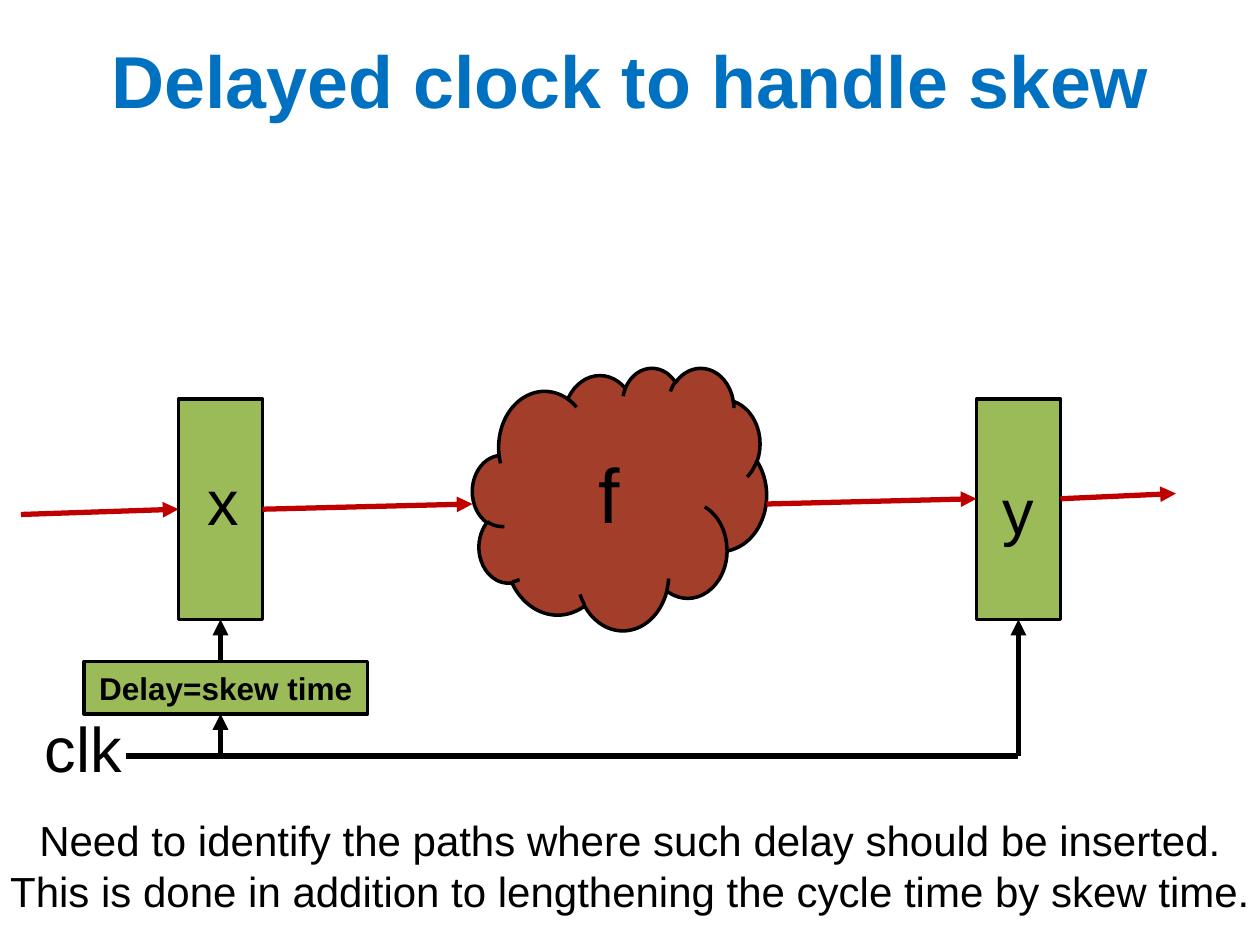
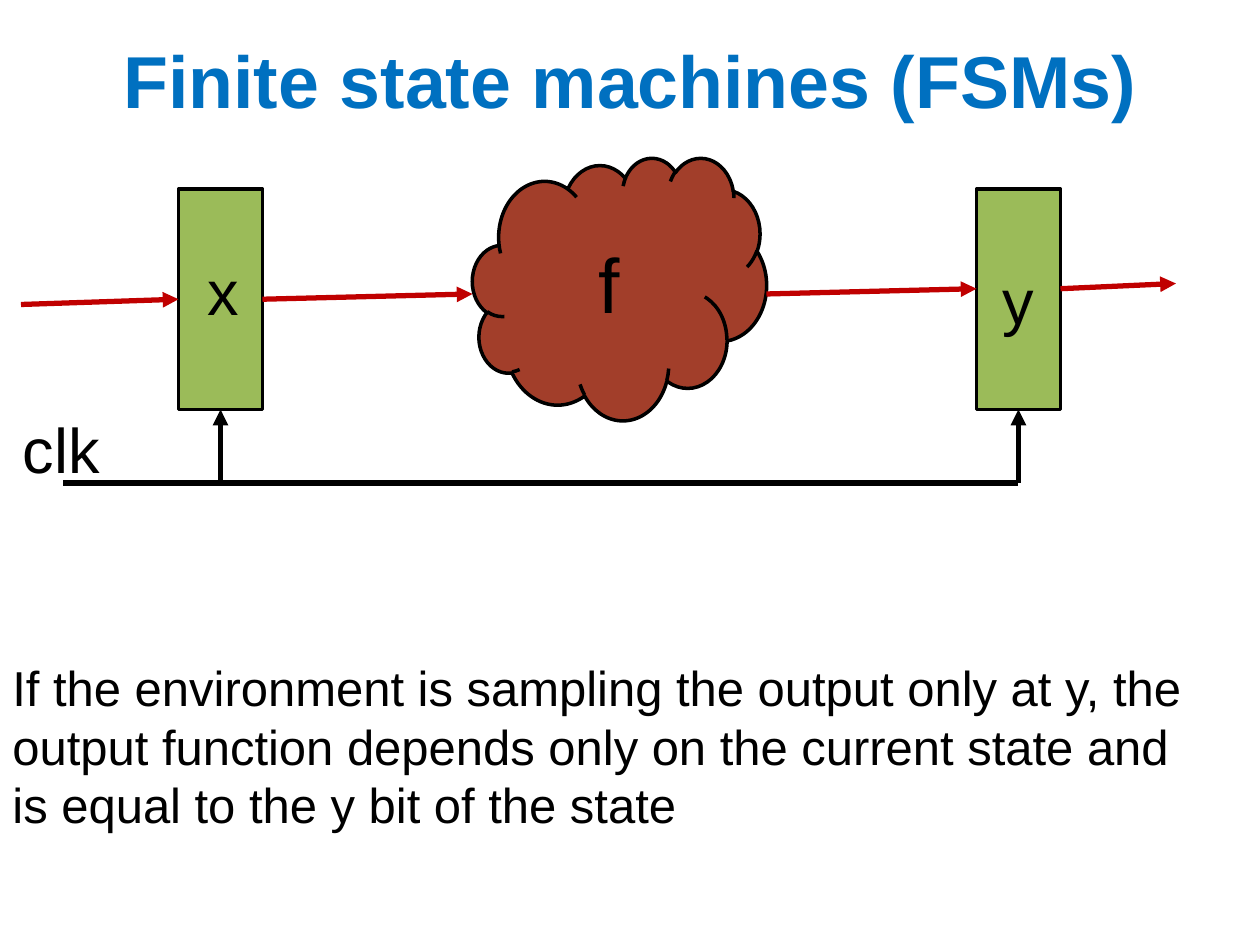
"""Build two slides on clocked registers around a logic block."""
import pptx
import pptx.util
import pptx.dml.color
import pptx.enum.shapes
import pptx.enum.text
import pptx.oxml
import pptx.oxml.ns

HUES = {"title": "0070C0", "cloud": "A23E2A", "box": "9BBB59",
        "data": "C00000", "ink": "000000"}
FONT = "Arial"
KIND = pptx.enum.shapes.MSO_SHAPE
ALIGN = pptx.enum.text.PP_ALIGN
MID = pptx.enum.text.MSO_ANCHOR.MIDDLE
FIT = pptx.enum.text.MSO_AUTO_SIZE

deck = pptx.Presentation()
deck.slide_width = pptx.util.Inches(10)
deck.slide_height = pptx.util.Inches(7.5)
COLS = 120
UNIT = deck.slide_width / COLS


def write(item, rows, size, hue="ink", bold=False, align=ALIGN.CENTER):
    frame = item.text_frame
    for num, row in enumerate(rows):
        para = frame.add_paragraph() if num else frame.paragraphs[0]
        para.alignment = align
        run = para.add_run()
        run.text = row
        run.font.name = FONT
        run.font.size = pptx.util.Pt(size)
        run.font.bold = bold
        run.font.color.rgb = pptx.dml.color.RGBColor.from_string(HUES[hue])


def wire(slide, start, end, hue="ink", arrow=True):
    ends = [round(n * UNIT) for n in (*start, *end)]
    link = slide.shapes.add_connector(pptx.enum.shapes.MSO_CONNECTOR.STRAIGHT, *ends)
    link.line.width = pptx.util.Pt(3)
    link.line.color.rgb = pptx.dml.color.RGBColor.from_string(HUES[hue])
    if arrow:
        tip = pptx.oxml.parse_xml(f'<a:tailEnd {pptx.oxml.ns.nsdecls("a")} type="triangle"/>')
        link.line._get_or_add_ln().append(tip)
    link._element.spPr.append(pptx.oxml.parse_xml(f'<a:effectLst {pptx.oxml.ns.nsdecls("a")}/>'))


pages = [
    {"title": "Delayed clock to handle skew", "top": 35, "clock": 72,
     "wire": 12, "label": (3.1, 67), "delay": (8, 63, 27, 5),
     "note": (-1, 77, 122, 10.9), "size": 24, "align": ALIGN.CENTER,
     "rows": ["Need to identify the paths where such delay should be inserted.",
              "This is done in addition to lengthening the cycle time by skew time."]},
    {"title": "Finite state machines (FSMs)", "top": 15, "clock": 46,
     "wire": 6, "label": (1, 38.5), "delay": None,
     "note": (0, 62, 114.4, 18.1), "size": 28, "align": ALIGN.LEFT,
     "rows": ["If the environment is sampling the output only at y, the",
              "output function depends only on the current state and",
              "is equal to the y bit of the state"]},
]

for page in pages:
    slide = deck.slides.add_slide(deck.slide_layouts[5])
    top, clock, delay = page["top"], page["clock"], page["delay"]
    base = top + 24

    title = slide.shapes.title
    title.left, title.top = 0, 0
    title.width, title.height = deck.slide_width, round(15 * UNIT)
    title.text_frame.auto_size = FIT.NONE
    title.text_frame.vertical_anchor = MID
    write(title, [page["title"]], 42, "title", True)

    parts = [
        (KIND.CLOUD, (45, top, 28, 25), "cloud", "f", 44, False),
        (KIND.RECTANGLE, (17, top + 3, 8, 21), "box", "", 36, False),
        (KIND.RECTANGLE, (93, top + 3, 8, 21), "box", "y", 36, False),
    ]
    if delay:
        parts.append((KIND.RECTANGLE, delay, "box", "Delay=skew time", 18, True))
    for kind, area, hue, text, size, bold in parts:
        item = slide.shapes.add_shape(kind, *[round(n * UNIT) for n in area])
        item.shadow.inherit = False
        item.fill.solid()
        item.fill.fore_color.rgb = pptx.dml.color.RGBColor.from_string(HUES[hue])
        item.line.color.rgb = pptx.dml.color.RGBColor.from_string(HUES["ink"])
        item.line.width = pptx.util.Pt(2)
        item.text_frame.vertical_anchor = MID
        if text:
            write(item, [text], size, bold=bold)

    for left, right, drop in [(2, 17, 14), (25, 45, 13.5), (73, 93, 13), (101, 112, 12.5)]:
        wire(slide, (left, top + drop), (right, top + drop - 0.5), "data")

    wire(slide, (page["wire"], clock), (97, clock), arrow=False)
    wire(slide, (97, clock), (97, base))
    if delay:
        wire(slide, (21, clock), (21, delay[1] + delay[3]))
        wire(slide, (21, delay[1]), (21, base))
    else:
        wire(slide, (21, clock), (21, base))

    notes = [
        ((18.6, top + 8.5, 5.4, 8.5), ["x"], 36, ALIGN.LEFT, False),
        ((*page["label"], 9.8, 8.5), ["clk"], 36, ALIGN.LEFT, False),
        (page["note"], page["rows"], page["size"], page["align"], True),
    ]
    for area, rows, size, align, wrap in notes:
        note = slide.shapes.add_textbox(*[round(n * UNIT) for n in area])
        note.text_frame.word_wrap = wrap
        note.text_frame.auto_size = FIT.SHAPE_TO_FIT_TEXT
        write(note, rows, size, align=align)

deck.save("out.pptx")
